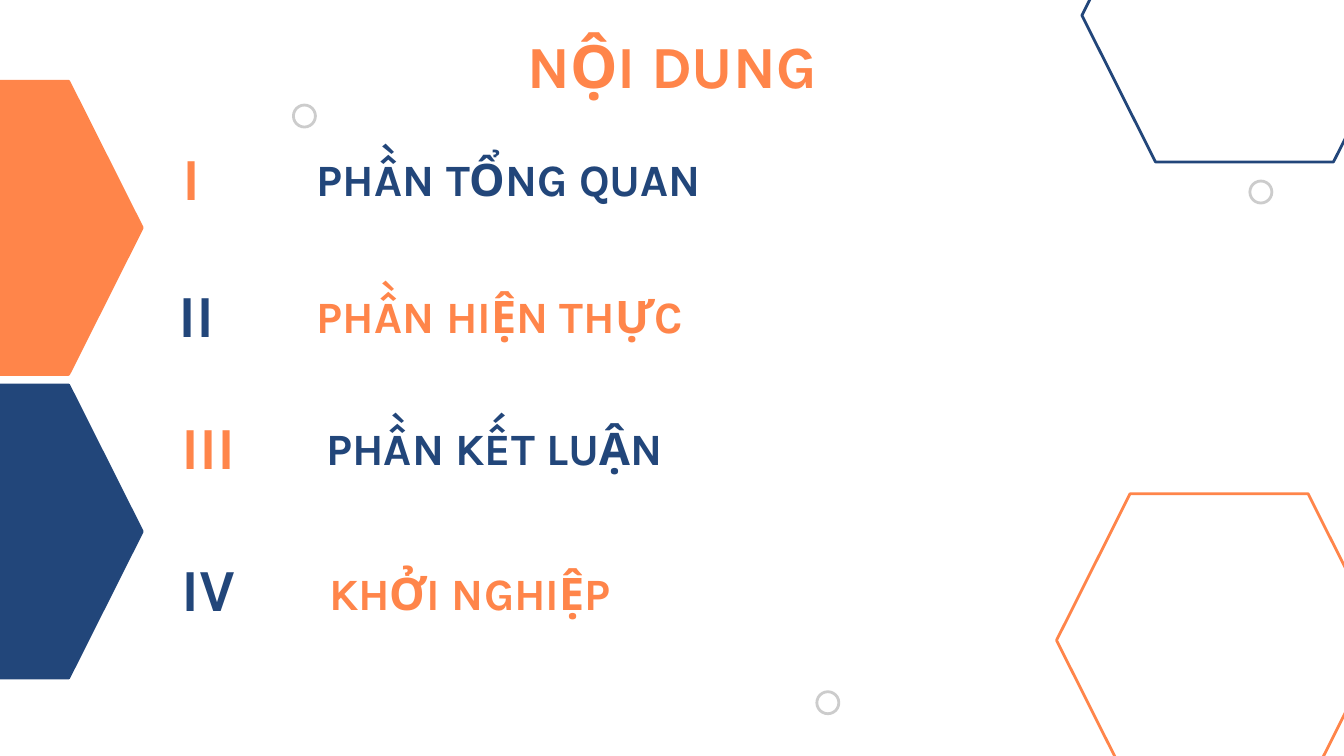
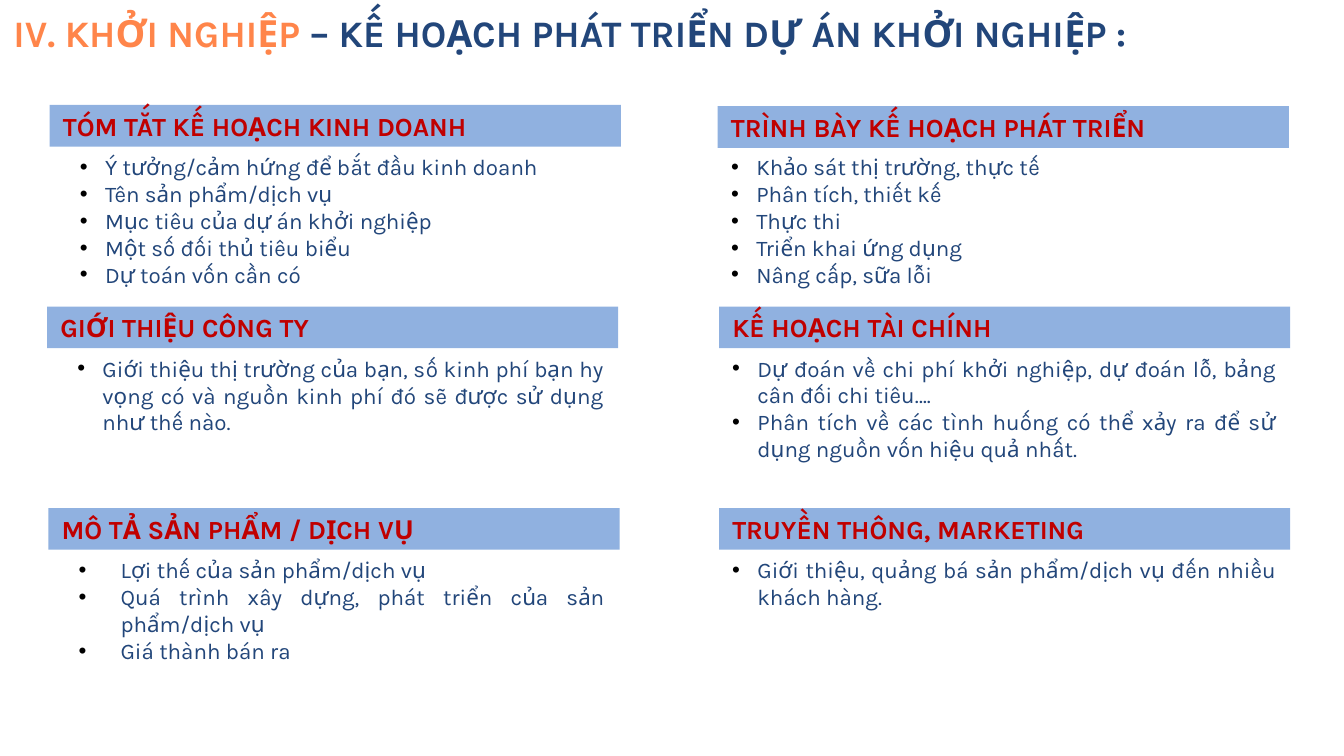
"""Build the contents slide and the start-up plan slide."""
from dataclasses import dataclass

from lxml import etree
from pptx import Presentation
from pptx.dml.color import RGBColor
from pptx.enum.shapes import MSO_SHAPE
from pptx.enum.text import MSO_ANCHOR, MSO_AUTO_SIZE, PP_ALIGN
from pptx.oxml.ns import qn
from pptx.util import Pt

HEXAGON, OVAL, RECT = MSO_SHAPE.HEXAGON, MSO_SHAPE.OVAL, MSO_SHAPE.RECTANGLE
TOP, MIDDLE = MSO_ANCHOR.TOP, MSO_ANCHOR.MIDDLE
LEFT, CENTER, JUSTIFY = PP_ALIGN.LEFT, PP_ALIGN.CENTER, PP_ALIGN.JUSTIFY
NO_FIT = MSO_AUTO_SIZE.NONE


@dataclass(frozen=True)
class Theme:
    """Colours, font and type sizes of the deck."""
    font: str = "Karla"
    orange: RGBColor = RGBColor(0xFF, 0x85, 0x4A)
    navy: RGBColor = RGBColor(0x22, 0x46, 0x7A)
    grey: RGBColor = RGBColor(0xCC, 0xCC, 0xCC)
    band: RGBColor = RGBColor(0x90, 0xB1, 0xE0)
    red: RGBColor = RGBColor(0xC0, 0x00, 0x00)
    display: int = 32
    label: int = 24
    title: int = 20
    heading: int = 14
    body: int = 12


T = Theme()


def write(sp, box, text, size, color, bold=True, align=LEFT, anchor=TOP, inset=7.2):
    """Place a shape and fill it with text in one style."""
    sp.left, sp.top, sp.width, sp.height = (Pt(v) for v in box)
    tf = sp.text_frame
    tf.text = text
    tf.word_wrap, tf.auto_size, tf.vertical_anchor = True, NO_FIT, anchor
    tf.margin_left = tf.margin_right = Pt(7.2)
    tf.margin_top = tf.margin_bottom = Pt(inset)
    for p in tf.paragraphs:
        p.alignment = align
        p.space_before = Pt(0)
        for r in p.runs:
            r.font.name, r.font.size, r.font.bold = T.font, Pt(size), bold
            r.font.color.rgb = color
    return tf


def outline(s, kind, box, line, fill=None):
    """Add a preset shape with a coloured outline and an optional fill."""
    sp = s.shapes.add_shape(kind, *(Pt(v) for v in box))
    sp.shadow.inherit = False
    sp.line.color.rgb, sp.line.width = line, Pt(1.5)
    if fill is None:
        sp.fill.background()
    else:
        sp.fill.solid()
        sp.fill.fore_color.rgb = fill
    return sp


prs = Presentation()
prs.slide_width, prs.slide_height = Pt(720), Pt(405)

s = prs.slides.add_slide(prs.slide_layouts[5])
write(s.shapes.title, (0, 8, 720, 58), "NỘI DUNG", T.display, T.orange, align=CENTER)

hexagons = [
    (566, 264.2, T.orange, None),
    (-98, 43.2, T.orange, T.orange),
    (-98, 205.9, T.navy, T.navy),
    (579.6, -70.6, T.navy, None),
]
for x, y, line, fill in hexagons:
    sp = outline(s, HEXAGON, (x, y, 174.2, 157.7), line, fill)
    sp.adjustments[0], sp.adjustments[1] = 0.25, 1.15

for x, y in [(437.6, 370.6), (157.2, 56.3), (669.6, 97)]:
    outline(s, OVAL, (x, y, 11.8, 11.8), T.grey)

sections = [
    ("I", (90.7, 78.5, 68.4, 32.4), "PHẦN TỔNG QUAN", (162.7, 74.2, 267.8, 36)),
    (" II", (80.6, 146.2, 68.4, 43.2), "PHẦN HIỆN THỰC", (162.7, 147.6, 495.4, 45.4)),
    (" III", (82.1, 217.4, 68.4, 43.2), "PHẦN KẾT LUẬN", (167.8, 218.2, 405.4, 53.3)),
    (" IV", (82.1, 295.9, 68.4, 38.2), "KHỞI NGHIỆP", (169.2, 295.9, 193.7, 32.4)),
]
for i, (numeral, numeral_box, label, label_box) in enumerate(sections):
    colors = (T.orange, T.navy) if i % 2 == 0 else (T.navy, T.orange)
    write(s.shapes.add_textbox(0, 0, 0, 0), numeral_box, numeral, T.display, colors[0], anchor=MIDDLE)
    write(s.shapes.add_textbox(0, 0, 0, 0), label_box, label, T.label, colors[1])

s = prs.slides.add_slide(prs.slide_layouts[4])
bodies = [sp for sp in s.placeholders if sp.placeholder_format.idx in (1, 2, 3, 4)]
tf = write(s.shapes.title, (0, 0, 620, 35.3), "IV. KHỞI NGHIỆP ", T.title, T.orange, anchor=MIDDLE)
r = tf.paragraphs[0].add_run()
r.text = "– KẾ HOẠCH PHÁT TRIỂN DỰ ÁN KHỞI NGHIỆP :"
r.font.name, r.font.size, r.font.bold = T.font, Pt(T.title), True
r.font.color.rgb = T.navy

panels = [
    (26.6, 56.2, 22.5, 13.5, "TÓM TẮT KẾ HOẠCH KINH DOANH", [
        "Ý tưởng/cảm hứng để bắt đầu kinh doanh",
        "Tên sản phẩm/dịch vụ",
        "Mục tiêu của dự án khởi nghiệp",
        "Một số đối thủ tiêu biểu",
        "Dự toán vốn cần có",
    ]),
    (25.2, 164.2, 22.5, 13.5, "GIỚI THIỆU CÔNG TY", [
        "Giới thiệu thị trường của bạn, số kinh phí bạn hy vọng có và "
        "nguồn kinh phí đó sẽ được sử dụng như thế nào.",
    ]),
    (25.9, 272.2, 31.5, 22.5, "MÔ TẢ SẢN PHẨM / DỊCH VỤ", [
        "Lợi thế của sản phẩm/dịch vụ",
        "Quá trình xây dựng, phát triển của sản phẩm/dịch vụ",
        "Giá thành bán ra",
    ]),
    (384.5, 56.9, 13.5, 13.5, "TRÌNH BÀY KẾ HOẠCH PHÁT TRIỂN", [
        "Khảo sát thị trường, thực tế",
        "Phân tích, thiết kế",
        "Thực thi",
        "Triển khai ứng dụng",
        "Nâng cấp, sữa lỗi",
    ]),
    (385.2, 164.2, 13.5, 13.5, "KẾ HOẠCH TÀI CHÍNH", [
        "Dự đoán về chi phí khởi nghiệp, dự đoán lỗ, bảng cân đối chi tiêu….",
        "Phân tích về các tình huống có thể xảy ra để sử dụng nguồn vốn hiệu quả nhất.",
    ]),
    (385.2, 272.2, 13.5, 13.5, "TRUYỀN THÔNG, MARKETING", [
        "Giới thiệu, quảng bá sản phẩm/dịch vụ đến nhiều khách hàng.",
    ]),
]
for i, (x, y, margin, hanging, heading, items) in enumerate(panels):
    body = bodies[i] if i < len(bodies) else s.shapes.add_textbox(0, 0, 0, 0)
    list_top = 78.5 + 108 * (i % 3)
    tf = write(body, (x, list_top, 305.3, 78), "\n".join(items), T.body, T.navy,
               bold=False, align=JUSTIFY, inset=3.6)
    for p in tf.paragraphs:
        pPr = p._p.get_or_add_pPr()
        pPr.set("marL", str(Pt(margin)))
        pPr.set("indent", str(-Pt(hanging)))
        clr = etree.SubElement(pPr, qn("a:buClr"))
        etree.SubElement(clr, qn("a:srgbClr"), val="000000")
        etree.SubElement(pPr, qn("a:buFont"), typeface="Arial")
        etree.SubElement(pPr, qn("a:buChar"), char="•")
    box = (x, y, 306, 22.3)
    sp = outline(s, RECT, box, T.band, T.band)
    sp.line.fill.background()
    write(sp, box, heading, T.heading, T.red, anchor=MIDDLE, inset=3.6)

prs.save("out.pptx")
